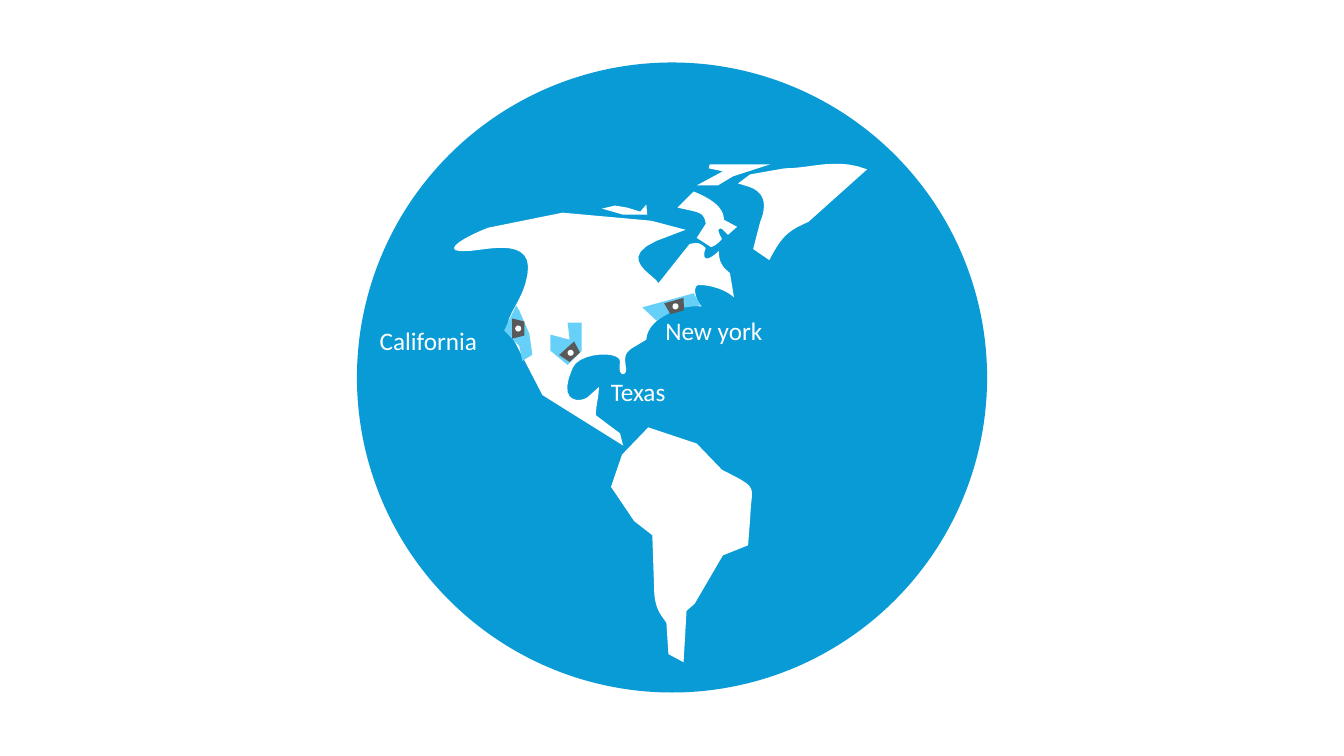
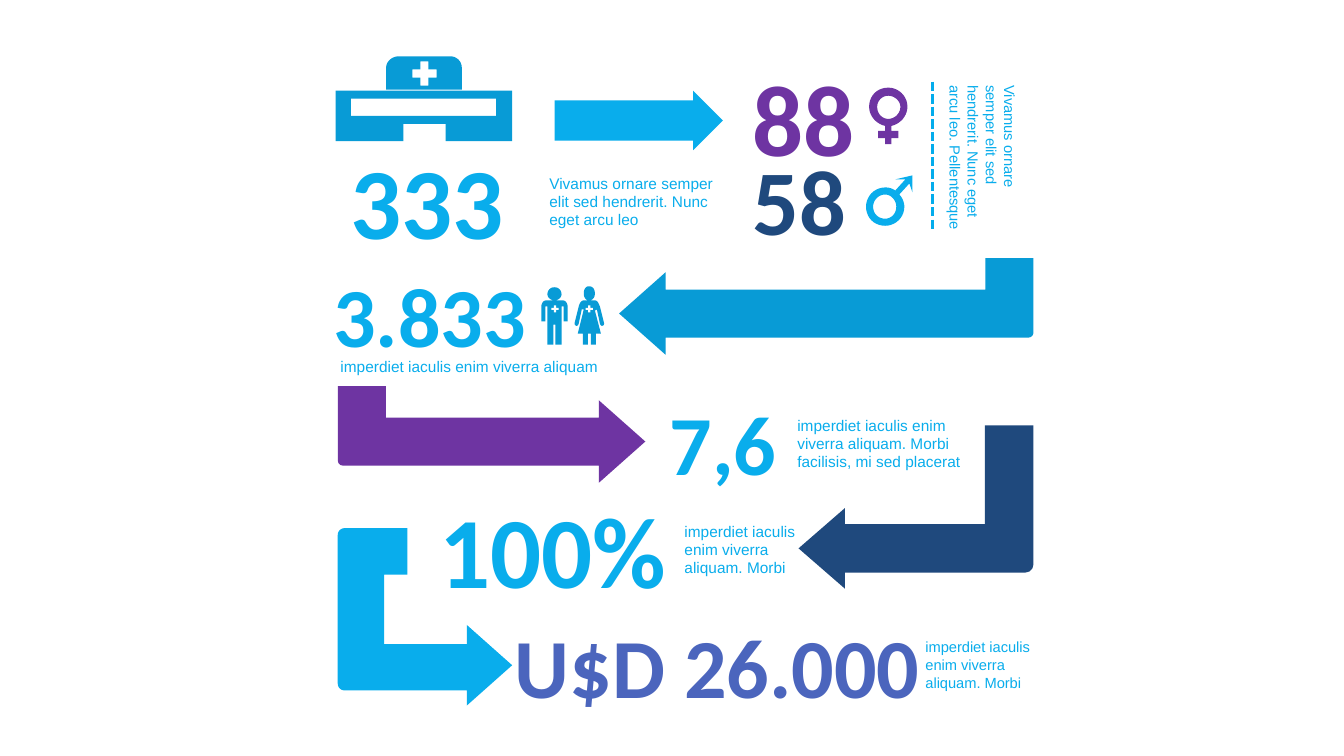
import pptx
import pptx.dml.color
import pptx.enum.dml
import pptx.enum.shapes
import pptx.enum.text
import pptx.oxml.ns
import pptx.util
from lxml import etree

PX = 9144
RGB = pptx.dml.color.RGBColor
SHAPE = pptx.enum.shapes.MSO_SHAPE
ALIGN = pptx.enum.text.PP_ALIGN

WHITE = RGB(0xFF, 0xFF, 0xFF)
BLUE = RGB(0x08, 0x9B, 0xD6)
SKY = RGB(0x09, 0xAD, 0xEC)
DASH_BLUE = RGB(0x03, 0xAC, 0xEC)
PALE = RGB(0x66, 0xD0, 0xF9)
GREY = RGB(0x59, 0x59, 0x59)
PURPLE = RGB(0x6E, 0x34, 0xA2)
NAVY = RGB(0x1F, 0x49, 0x7D)
INDIGO = RGB(0x4B, 0x65, 0xBD)

SOUTH_AMERICA = (
    "M324,595 309,587 307,556 C302,548 297,545 295,528 L293,469 275,455 252,421 "
    "263,389 289,362 337,378 362,404 C401,424 391,418 390,453 L388,479 363,489 "
    "335,537 327,544"
)
NORTH_AMERICA = (
    "M264,380 261,368 237,350 C237,340 240,332 240,322 L230,331 "
    "C225,337 197,341 214,303 C221,287 262,286 261,297 C258,313 268,311 267,304 "
    "C265,291 266,289 272,284 L287,275 C288,260 303,250 325,241 L342,242 "
    "C336,236 333,223 338,221 C344,220 363,223 374,233 L370,209 "
    "C363,203 359,199 359,187 C343,202 343,191 346,184 C341,180 340,178 330,180 "
    "L299,219 C296,211 257,195 297,177 L326,166 292,157 204,149 130,164 "
    "C104,174 70,194 128,185 C145,183 175,180 169,211 C164,243 137,257 156,276 "
    "L184,330"
)
GREENLAND = (
    "M378,120 388,123 C408,129 405,146 400,158 L393,185 409,196 "
    "C421,173 427,167 448,158 L506,106 C475,94 451,105 424,105 L390,111"
)
BAFFIN = (
    "M337,174 351,183 C354,183 360,178 362,175 C359,169 356,164 362,165 "
    "L368,171 377,163 364,156 C364,145 354,136 334,128 L318,144 "
    "C340,149 344,148 346,160"
)
VICTORIA = "M243,145 256,142 268,144 281,148 287,141 288,151 264,151"
ELLESMERE = "M337,122 358,122 373,113 410,101 350,101 349,105 363,108"
LANDS = [SOUTH_AMERICA, NORTH_AMERICA, GREENLAND, BAFFIN, VICTORIA, ELLESMERE]

STATES = [
    ("New york", "M334,229 341,241 318,244 297,256 283,243",
     (316, 242), 164, (296, 246), ALIGN.LEFT),
    ("Texas", "M192,270 192,286 209,300 223,286 223,258 209,258 211,275",
     (212, 288), 138, (242, 306), ALIGN.LEFT),
    ("California", "M158,241 146,266 161,281 164,296 174,290 171,269 161,246",
     (160, 264), 90, (4, 256), ALIGN.RIGHT),
]

HOSPITAL = (
    "M15,42 15,59 159,59 159,42 "
    "M0,34 175,34 175,84 109,84 109,67 67,67 67,84 0,84 "
    "M84,5 84,13 76,13 76,21 84,21 84,29 92,29 92,21 100,21 100,13 92,13 92,5 "
    "M62,0 114,0 C120,0 125,5 125,11 L125,33 50,33 50,11 C50,5 56,0 62,0"
)
FEMALE = (
    "M16,38 C7,36 0,28 0,19 C0,8 8,0 19,0 C29,0 38,8 38,19 C38,28 31,36 22,38 "
    "L22,43 29,43 29,50 22,50 22,56 16,56 16,50 9,50 9,43 16,43 "
    "M19,8 C25,8 31,13 31,19 C31,26 25,31 19,31 C13,31 8,26 8,19 C8,13 13,8 19,8"
)
MALE = (
    "M19,19 C12,19 7,25 7,31 C7,38 12,43 19,43 C25,43 30,38 30,31 "
    "C30,25 25,19 19,19 "
    "M46,0 46,17 43,8 33,19 C36,22 38,27 38,31 C38,42 29,50 19,50 "
    "C8,50 0,42 0,31 C0,21 8,12 19,12 C23,12 26,13 29,15 L39,4 29,4"
)
MAN = (
    "M6,37 6,57 12,57 12,37 14,37 14,57 20,57 20,19 22,19 22,34 26,34 26,19 "
    "C26,16 24,13 21,13 L5,13 C2,13 0,16 0,19 L0,34 4,34 4,19 6,19 "
    "M13,0 C17,0 20,3 20,7 C20,10 17,13 13,13 C9,13 6,10 6,7 C6,3 9,0 13,0"
)
WOMAN = (
    "M21,14 C24,14 25,18 26,20 L30,36 C31,39 27,41 26,37 L23,23 21,24 27,47 "
    "22,47 22,58 17,58 17,47 14,47 14,58 9,58 9,47 4,47 10,23 8,23 5,37 "
    "C4,41 0,39 1,36 L5,20 C6,16 8,14 10,14 "
    "M15,0 C19,0 21,3 21,7 C21,11 19,14 15,14 C12,14 10,11 10,7 C10,3 12,0 15,0"
)
U_ARROW = (
    "M7,0 69,0 69,46 46,46 46,115 128,115 128,96 173,136 128,176 128,161 7,161 "
    "C3,161 0,158 0,154 L0,7 C0,3 3,0 7,0"
)
WIDE_BEND = (0.497, 0.427, 0.481, 0.05)
TALL_BEND = (0.297, 0.247, 0.284, 0.05)


def emu(*lengths):
    return [round(v * PX) for v in lengths]


def bezier(p0, p1, p2, p3, steps=10):
    for i in range(1, steps + 1):
        t = i / steps
        u = 1 - t
        yield tuple(u**3 * a + 3 * u * u * t * b + 3 * u * t * t * c + t**3 * d
                    for a, b, c, d in zip(p0, p1, p2, p3))


def contour_points(contour):
    points, controls, curved = [], [], False
    for token in contour.split():
        if token[0] in "LC":
            curved = token[0] == "C"
            token = token[1:]
        point = tuple(int(v) for v in token.split(","))
        if not curved:
            points.append(point)
            continue
        controls.append(point)
        if len(controls) == 3:
            points.extend(bezier(points[-1], *controls))
            controls = []
    return points


def paint(sp, fill):
    sp.fill.solid()
    sp.fill.fore_color.rgb = fill
    sp.line.fill.background()
    sp.shadow.inherit = False
    return sp


def add_outline(shapes, outline, x, y, fill):
    builder = None
    for contour in outline.split("M")[1:]:
        points = [tuple(emu(x + px, y + py)) for px, py in contour_points(contour)]
        if builder is None:
            builder = shapes.build_freeform(*points[0], scale=1.0)
        else:
            builder.move_to(*points[0])
        builder.add_line_segments(points[1:], close=True)
    return paint(builder.convert_to_shape(), fill)


def add_preset(shapes, kind, x, y, w, h, fill, adj=(), rot=0):
    sp = paint(shapes.add_shape(kind, *emu(x, y, w, h)), fill)
    for i, value in enumerate(adj):
        sp.adjustments[i] = value
    sp.rotation = rot
    return sp


def add_text(shapes, text, x, y, w, h, size, color, font="Calibri",
             bold=False, align=ALIGN.LEFT, spacing=None):
    sp = shapes.add_textbox(*emu(x, y, w, h))
    tf = sp.text_frame
    tf.word_wrap = True
    tf.auto_size = pptx.enum.text.MSO_AUTO_SIZE.SHAPE_TO_FIT_TEXT
    tf.text = text
    p = tf.paragraphs[0]
    p.alignment = align
    p.line_spacing = spacing
    r = p.runs[0]
    r.font.name = font
    r.font.size = pptx.util.Pt(size)
    r.font.bold = bold
    r.font.color.rgb = color
    return sp


def add_number(shapes, text, x, y, w, h, size, color=SKY):
    return add_text(shapes, text, x, y, w, h, size, color, bold=True, align=ALIGN.CENTER)


def add_caption(shapes, text, x, y, w, h, size=11, align=ALIGN.LEFT):
    return add_text(shapes, text, x, y, w, h, size, SKY, "Arial",
                    align=align, spacing=pptx.util.Pt(13))


def add_dashed_line(shapes, x, y, h):
    line = shapes.add_connector(pptx.enum.shapes.MSO_CONNECTOR.STRAIGHT, *emu(x, y, x, y + h))
    line.line.color.rgb = DASH_BLUE
    line.line.width = pptx.util.Pt(2.25)
    line.line.dash_style = pptx.enum.dml.MSO_LINE.SQUARE_DOT
    etree.SubElement(line._element.spPr, pptx.oxml.ns.qn("a:effectLst"))


def globe(shapes, x, y, size):
    add_preset(shapes, SHAPE.OVAL, x, y, size, size, BLUE)
    for land in LANDS:
        add_outline(shapes, land, x, y, WHITE)
    for name, region, (cx, cy), rot, (lx, ly), align in STATES:
        group = shapes.add_group_shape().shapes
        add_outline(group, region, x, y, PALE)
        add_preset(group, SHAPE.TRAPEZOID, x + cx - 10, y + cy - 6, 20, 12, GREY, rot=rot)
        add_preset(group, SHAPE.OVAL, x + cx - 3, y + cy - 3, 6, 6, WHITE)
        add_text(shapes, name, x + lx, y + ly, 125, 40, 18, WHITE, align=align)


def hospital_row(shapes, x, y):
    add_outline(shapes, HOSPITAL, x + 3, y + 6, BLUE)
    add_preset(shapes, SHAPE.RIGHT_ARROW, x + 220, y + 40, 167, 59, SKY, (0.678, 0.5))
    add_number(shapes, "88", x + 400, y, 134, 131, 72, PURPLE)
    add_number(shapes, "333", x - 17, y + 83, 221, 131, 72)
    add_caption(shapes, "Vivamus ornare semper elit sed hendrerit. Nunc eget arcu leo",
                x + 205, y + 118, 186, 65)
    add_number(shapes, "58", x + 396, y + 87, 134, 121, 66, NAVY)
    sp = add_caption(
        shapes, "Vivamus ornare semper elit sed hendrerit. Nunc eget arcu leo. Pellentesque",
        x + 558, y + 70, 173, 83, 10.5)
    sp.rotation = 90
    add_dashed_line(shapes, x + 595, y + 31, 148)
    add_outline(shapes, FEMALE, x + 532, y + 37, PURPLE)
    add_outline(shapes, MALE, x + 529, y + 124, SKY)


def staff_row(shapes, x, y):
    add_preset(shapes, SHAPE.BENT_ARROW, x + 289, y, 411, 96, BLUE, WIDE_BEND, 180)
    add_number(shapes, "3.833", x - 58, y, 318, 111, 60)
    add_caption(shapes, "imperdiet iaculis enim viverra aliquam",
                x, y + 94, 281, 28, align=ALIGN.CENTER)
    group = shapes.add_group_shape().shapes
    for person, px, py, badge in ((WOMAN, 244, 28, 12), (MAN, 212, 29, 10)):
        add_outline(group, person, x + px, y + py, BLUE)
        add_preset(group, SHAPE.CROSS, x + px + badge, y + 47, 7, 7, WHITE, (0.353,))


def rate_row(shapes, x, y):
    arrow = add_preset(shapes, SHAPE.BENT_ARROW, x, y, 305, 96, PURPLE, WIDE_BEND, 180)
    arrow._element.spPr.xfrm.set("flipH", "1")
    add_number(shapes, "7,6", x + 305, y, 154, 111, 60)
    add_caption(shapes, "imperdiet iaculis enim viverra aliquam. Morbi facilisis, mi sed placerat",
                x + 446, y + 25, 210, 65)


def coverage_row(shapes, x, y):
    add_preset(shapes, SHAPE.BENT_ARROW, x + 380, y, 233, 162, NAVY, TALL_BEND, 180)
    add_number(shapes, "100%", x, y + 57, 272, 131, 72)
    add_caption(shapes, "imperdiet iaculis enim viverra aliquam. Morbi", x + 257, y + 91, 132, 65)


def cost_row(shapes, x, y):
    add_number(shapes, "U$D 26.000", x + 155, y + 81, 443, 111, 60, INDIGO)
    add_outline(shapes, U_ARROW, x, y, SKY)
    add_caption(shapes, "imperdiet iaculis enim viverra aliquam. Morbi",
                x + 573, y + 103, 135, 65, 10.5)


def main():
    prs = pptx.Presentation()
    prs.slide_width, prs.slide_height = emu(1333, 750)
    blank = prs.slide_layouts[6]
    globe(prs.slides.add_slide(blank).shapes, 354, 62, 625)
    shapes = prs.slides.add_slide(blank).shapes
    hospital_row(shapes, 330, 50)
    staff_row(shapes, 325, 256)
    rate_row(shapes, 335, 383)
    coverage_row(shapes, 412, 422)
    cost_row(shapes, 335, 524)
    prs.save("out.pptx")


if __name__ == "__main__":
    main()
